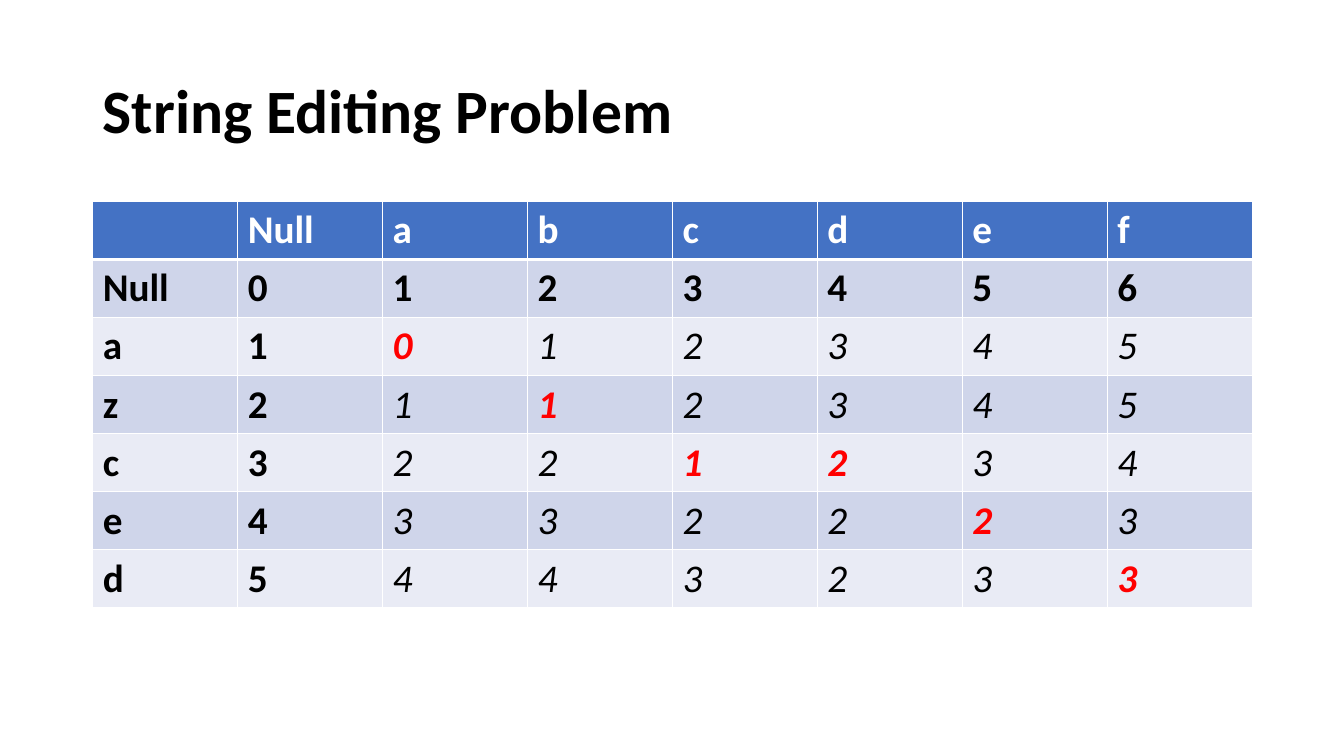
import pptx
import pptx.dml.color
import pptx.enum.text
import pptx.util
from lxml import etree
from pptx.oxml.ns import qn

Inches = pptx.util.Inches
RGBColor = pptx.dml.color.RGBColor

BLACK = RGBColor(0x00, 0x00, 0x00)
WHITE = RGBColor(0xFF, 0xFF, 0xFF)
RED = RGBColor(0xFF, 0x00, 0x00)
HEADER_BLUE = RGBColor(0x44, 0x72, 0xC4)
BANDS = (RGBColor(0xE9, 0xEB, 0xF5), RGBColor(0xCF, 0xD5, 0xEA))

EDIT_DISTANCES = [
    ["", "Null", "a", "b", "c", "d", "e", "f"],
    ["Null", "0", "1", "2", "3", "4", "5", "6"],
    ["a", "1", "0", "1", "2", "3", "4", "5"],
    ["z", "2", "1", "1", "2", "3", "4", "5"],
    ["c", "3", "2", "2", "1", "2", "3", "4"],
    ["e", "4", "3", "3", "2", "2", "2", "3"],
    ["d", "5", "4", "4", "3", "2", "3", "3"],
]
EDIT_PATH = {(2, 2), (3, 3), (4, 4), (4, 5), (5, 6), (6, 7)}


class EditingSlide:
    font_name = "Calibri"
    left, width = Inches(0.92), Inches(11.5)

    def __init__(self, deck):
        self.slide = deck.slides.add_slide(deck.slide_layouts[5])

    def style(self, paragraph, size, color, bold, italic=False):
        for run in paragraph.runs:
            font = run.font
            font.name, font.size = self.font_name, pptx.util.Pt(size)
            font.bold, font.italic = bold, italic
            font.color.rgb = color

    def title(self, text):
        heading = self.slide.shapes.title
        heading.left, heading.top = self.left, Inches(0.4)
        heading.width, heading.height = self.width, Inches(1.45)
        frame = heading.text_frame
        frame.text = text
        frame.word_wrap = True
        frame.vertical_anchor = pptx.enum.text.MSO_ANCHOR.MIDDLE
        paragraph = frame.paragraphs[0]
        paragraph.alignment = pptx.enum.text.PP_ALIGN.LEFT
        paragraph.line_spacing = 0.9
        self.style(paragraph, 44, BLACK, True)

    def borders(self, cell, **widths):
        properties = cell._tc.get_or_add_tcPr()
        for side in "LRTB":
            line = etree.SubElement(properties, qn(f"a:ln{side}"))
            line.set("w", str(pptx.util.Pt(widths.get(side, 1))))
            fill = etree.SubElement(line, qn("a:solidFill"))
            etree.SubElement(fill, qn("a:srgbClr")).set("val", str(WHITE))

    def distance_table(self, rows, edit_path):
        row_height = Inches(0.57)
        table = self.slide.shapes.add_table(
            len(rows), len(rows[0]), self.left, Inches(2),
            self.width, row_height * len(rows)).table
        for row in table.rows:
            row.height = row_height
        for r, values in enumerate(rows):
            for c, value in enumerate(values):
                cell = table.cell(r, c)
                self.borders(cell, T=3 if r == 1 else 1, B=3 if r == 0 else 1)
                cell.fill.solid()
                cell.fill.fore_color.rgb = BANDS[r % 2] if r else HEADER_BLUE
                cell.text_frame.text = value
                on_path = (r, c) in edit_path
                inner = r > 1 and c > 1
                color = RED if on_path else BLACK if r else WHITE
                self.style(cell.text_frame.paragraphs[0], 28, color,
                           on_path or not inner, inner)


def main():
    deck = pptx.Presentation()
    deck.slide_width, deck.slide_height = Inches(13.33), Inches(7.5)
    editing = EditingSlide(deck)
    editing.title("String Editing Problem")
    editing.distance_table(EDIT_DISTANCES, EDIT_PATH)
    deck.save("out.pptx")


if __name__ == "__main__":
    main()
